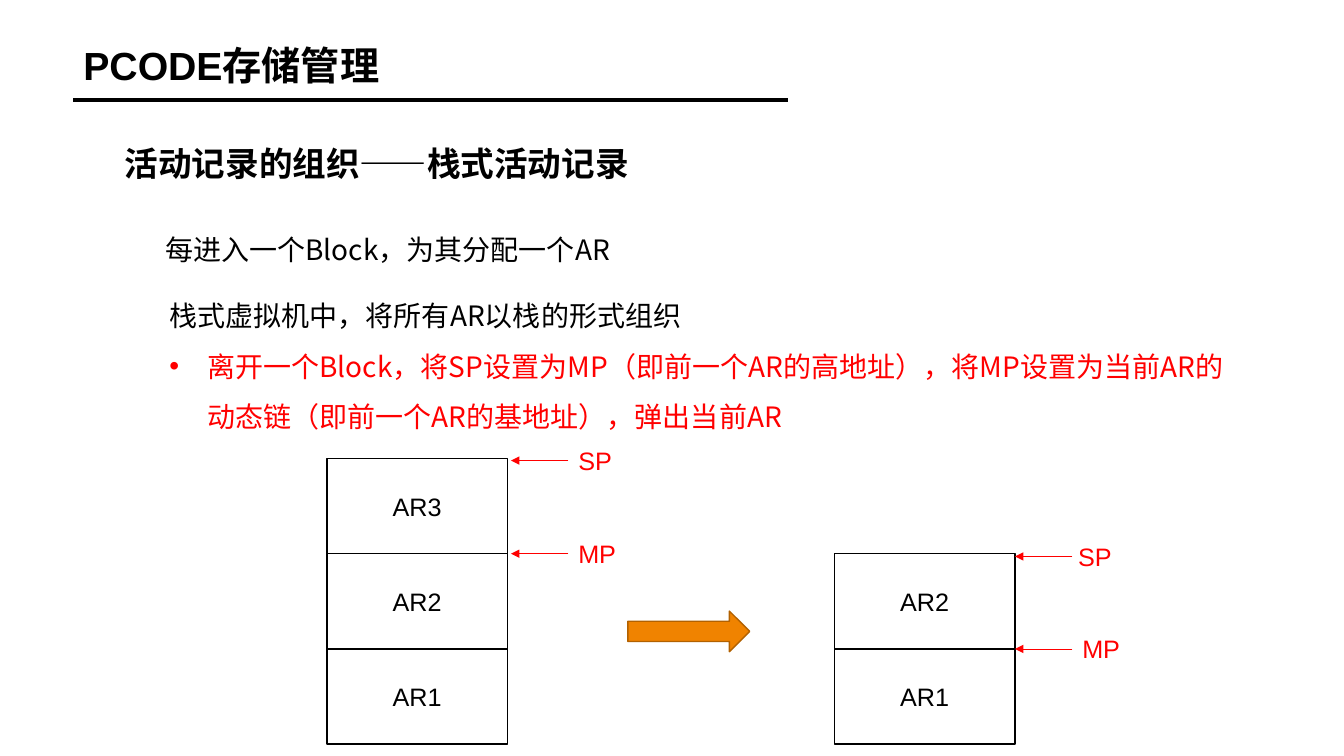
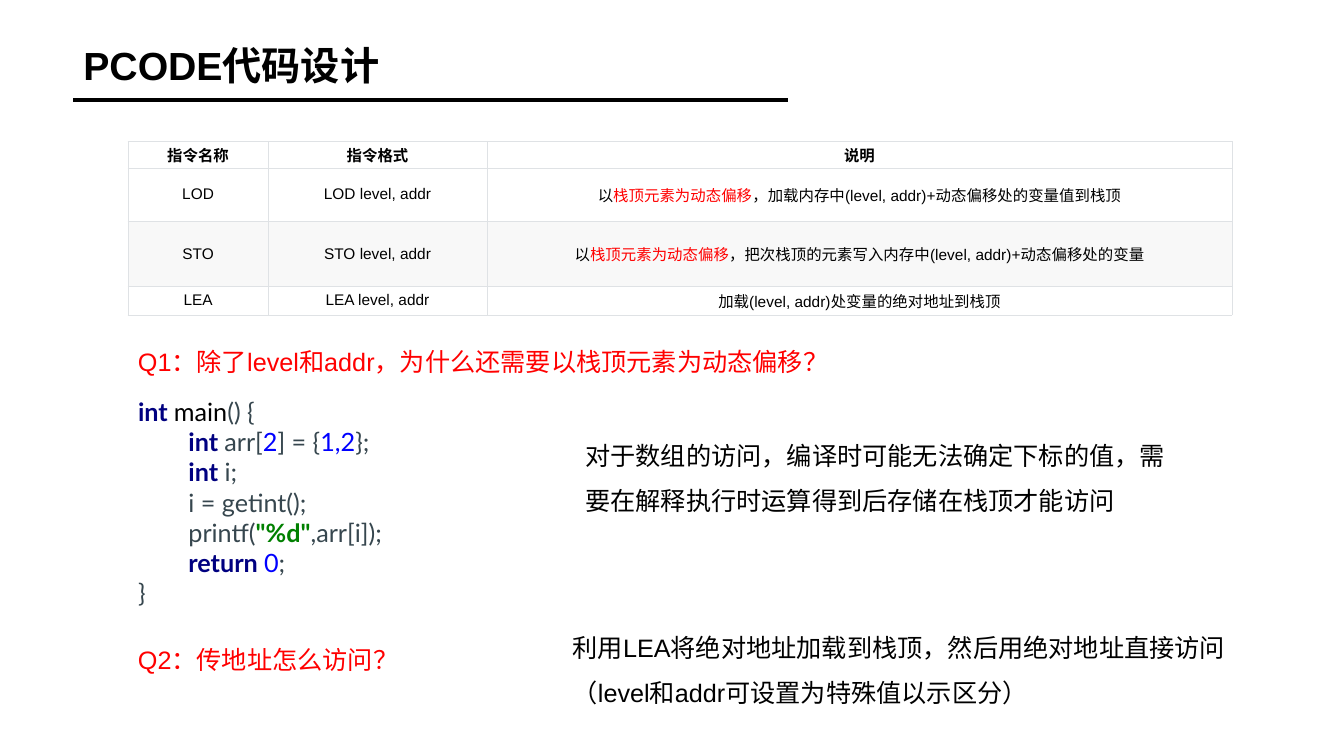
from lxml import etree
from pptx import Presentation
from pptx.dml.color import RGBColor
from pptx.enum import shapes, text
from pptx.oxml import ns
from pptx.util import Pt

BLACK = RGBColor(0x00, 0x00, 0x00)
WHITE = RGBColor(0xFF, 0xFF, 0xFF)
RED = RGBColor(0xFF, 0x00, 0x00)
ORANGE = RGBColor(0xF0, 0x83, 0x00)
BROWN = RGBColor(0xB2, 0x61, 0x00)
STRIPE = RGBColor(0xF8, 0xF8, 0xF8)
GRID = RGBColor(0xDF, 0xE2, 0xE5)
NAVY = RGBColor(0x00, 0x00, 0x80)
BLUE = RGBColor(0x00, 0x00, 0xFF)
GREEN = RGBColor(0x00, 0x80, 0x00)
SLATE = RGBColor(0x36, 0x46, 0x4E)

ARIAL = "Arial"
LATO = "Lato"
NOTO = "Noto Sans CJK SC"

FRAME_WIDTH = 129
FRAME_HEIGHT = 68
STACK_BOTTOM = 531.5

KEYWORD = (NAVY, True)
NUMBER = (BLUE, False)
PLAIN = (SLATE, False)
CODE = [
    [("int ", *KEYWORD), ("main", BLACK, False), ("() {", *PLAIN)],
    [("\tint ", *KEYWORD), ("arr[", *PLAIN), ("2", *NUMBER),
     ("] = {", *PLAIN), ("1,2", *NUMBER), ("};", *PLAIN)],
    [("\tint", *KEYWORD), (" i;", *PLAIN)],
    [("\ti = getint();", *PLAIN)],
    [("\tprintf(", *PLAIN), ("\"%d\"", GREEN, True), (",arr[i]);", *PLAIN)],
    [("\treturn ", *KEYWORD), ("0", *NUMBER), (";", *PLAIN)],
    [("}", *PLAIN)],
]

DYNAMIC_OFFSET = ("栈顶元素为动态偏移", RED, False)
INSTRUCTIONS = [
    ("LOD", [("以", BLACK, False), DYNAMIC_OFFSET,
             ("，加载内存中(level, addr)+动态偏移处的变量值到栈顶", BLACK, False)]),
    ("STO", [("以", BLACK, False), DYNAMIC_OFFSET,
             ("，把次栈顶的元素写入内存中(level, addr)+动态偏移处的变量", BLACK, False)]),
    ("LEA", [("加载(level, addr)处变量的绝对地址到栈顶", BLACK, False)]),
]


def add_runs(paragraph, runs, size, font):
    """Add (words, colour, bold) runs to a paragraph."""
    for words, colour, bold in runs:
        run = paragraph.add_run()
        run.text = words
        run.font.size = Pt(size)
        run.font.name = font
        run.font.bold = bold
        run.font.color.rgb = colour
        east_asian = etree.SubElement(run._r.get_or_add_rPr(), ns.qn("a:ea"))
        east_asian.set("typeface", NOTO)


def add_text(slide, box, paragraphs, size=18, font=ARIAL, spacing=None, wrap=True):
    frame = slide.shapes.add_textbox(*map(Pt, box)).text_frame
    frame.word_wrap = wrap
    for index, runs in enumerate(paragraphs):
        paragraph = frame.add_paragraph() if index else frame.paragraphs[0]
        if spacing:
            paragraph.line_spacing = spacing
        add_runs(paragraph, runs, size, font)
    return frame


def add_bullet(paragraph, indent):
    properties = paragraph._p.get_or_add_pPr()
    properties.set("marL", str(Pt(indent)))
    properties.set("indent", str(-Pt(indent)))
    etree.SubElement(properties, ns.qn("a:buFont")).set("typeface", ARIAL)
    etree.SubElement(properties, ns.qn("a:buChar")).set("char", "•")


def add_line(slide, start, end, colour, width, arrow=False):
    line = slide.shapes.add_connector(
        shapes.MSO_CONNECTOR.STRAIGHT, *map(Pt, (*start, *end)))
    line.line.color.rgb = colour
    line.line.width = Pt(width)
    if arrow:
        tail = etree.SubElement(line.line._get_or_add_ln(), ns.qn("a:tailEnd"))
        tail.set("type", "triangle")
    etree.SubElement(line._element.spPr, ns.qn("a:effectLst"))


def add_title(slide, title):
    add_text(slide, (52.5, 30, 855, 50), [[(title, BLACK, True)]], 28, spacing=0.9)
    add_line(slide, (52.5, 71.5), (563, 71.5), BLACK, 3)


def add_outlined(slide, kind, box, line_colour):
    shape = slide.shapes.add_shape(kind, *map(Pt, box))
    shape.shadow.inherit = False
    shape.fill.background()
    shape.line.color.rgb = line_colour
    shape.line.width = Pt(1)
    return shape


def add_stack(slide, left, names):
    """Pile up activation records, the first name at the bottom."""
    for level, name in enumerate(names, 1):
        top = STACK_BOTTOM - level * FRAME_HEIGHT
        record = add_outlined(slide, shapes.MSO_SHAPE.RECTANGLE,
                              (left, top, FRAME_WIDTH, FRAME_HEIGHT), BLACK)
        record.text_frame.vertical_anchor = text.MSO_ANCHOR.MIDDLE
        paragraph = record.text_frame.paragraphs[0]
        paragraph.alignment = text.PP_ALIGN.CENTER
        add_runs(paragraph, [(name, BLACK, False)], 18, ARIAL)


def add_pointer(slide, name, tip, y, label_left, label_width):
    add_line(slide, (tip + 41, y), (tip, y), RED, 0.5, arrow=True)
    add_text(slide, (label_left, y - 14.5, label_width, 29),
             [[(name, RED, False)]], wrap=False)


def add_borders(cell):
    properties = cell._tc.get_or_add_tcPr()
    for side in ("lnL", "lnR", "lnT", "lnB"):
        border = etree.SubElement(properties, ns.qn(f"a:{side}"), w=str(Pt(0.6)))
        fill = etree.SubElement(border, ns.qn("a:solidFill"))
        etree.SubElement(fill, ns.qn("a:srgbClr"), val=str(GRID))


def fill_cell(cell, runs, background):
    add_borders(cell)
    cell.fill.solid()
    cell.fill.fore_color.rgb = background
    cell.vertical_anchor = text.MSO_ANCHOR.MIDDLE
    cell.margin_left = cell.margin_right = Pt(3)
    cell.margin_top = cell.margin_bottom = Pt(1.5)
    paragraph = cell.text_frame.paragraphs[0]
    paragraph.alignment = text.PP_ALIGN.CENTER
    add_runs(paragraph, runs, 11, ARIAL)


def add_instruction_table(slide):
    widths, heights = (100, 156.5, 532), (19, 38, 46.5, 20.5)
    table = slide.shapes.add_table(
        len(heights), len(widths), Pt(91.5), Pt(101),
        Pt(sum(widths)), Pt(sum(heights))).table
    table.first_row = table.horz_banding = False
    for column, width in zip(table.columns, widths):
        column.width = Pt(width)
    for row, height in zip(table.rows, heights):
        row.height = Pt(height)

    rows = [[[(name, BLACK, True)] for name in ("指令名称", "指令格式", "说明")]]
    for name, meaning in INSTRUCTIONS:
        rows.append([[(name, BLACK, False)],
                     [(f"{name} level, addr", BLACK, False)], meaning])
    for index, row in enumerate(rows):
        background = STRIPE if index == 2 else WHITE
        for cell, runs in zip(table.rows[index].cells, row):
            fill_cell(cell, runs, background)


def build_storage_slide(slide):
    add_title(slide, "PCODE存储管理")
    add_text(slide, (82, 102, 410, 41),
             [[("活动记录的组织——栈式活动记录", BLACK, True)]], 24, spacing=0.9)
    add_text(slide, (111, 150.5, 609, 50),
             [[("每进入一个Block，为其分配一个AR", BLACK, False)]], 20, NOTO, 1.5)
    body = add_text(slide, (114, 198, 786, 152), [
        [("栈式虚拟机中，将所有AR以栈的形式组织", BLACK, False)],
        [("离开一个Block，将SP设置为MP（即前一个AR的高地址），"
          "将MP设置为当前AR的动态链（即前一个AR的基地址），弹出当前AR", RED, False)],
    ], 20, NOTO, 1.5)
    add_bullet(body.paragraphs[1], 27)

    add_stack(slide, 233.5, ["AR1", "AR2", "AR3"])
    add_pointer(slide, "SP", 365, 329, 406, 39)
    add_pointer(slide, "MP", 365, 395.5, 406, 42)
    add_stack(slide, 596, ["AR1", "AR2"])
    add_pointer(slide, "SP", 725, 397.5, 763, 39)
    add_pointer(slide, "MP", 725, 463.5, 766, 42)
    arrow = add_outlined(slide, shapes.MSO_SHAPE.RIGHT_ARROW,
                         (448.5, 436.5, 87, 29), BROWN)
    arrow.fill.solid()
    arrow.fill.fore_color.rgb = ORANGE


def build_code_slide(slide):
    add_title(slide, "PCODE代码设计")
    add_instruction_table(slide)
    add_text(slide, (91.5, 243.5, 512.5, 29), [
        [("Q1：除了level和addr，为什么还需要以栈顶元素为动态偏移？", RED, False)]],
        wrap=False)
    add_text(slide, (91.5, 279.5, 291.5, 160), CODE, font=LATO)
    add_text(slide, (411, 300, 430, 69), [
        [("对于数组的访问，编译时可能无法确定下标的值，"
          "需要在解释执行时运算得到后存储在栈顶才能访问", BLACK, False)]], spacing=1.5)
    add_text(slide, (91.5, 457, 202.5, 29),
             [[("Q2：传地址怎么访问？", RED, False)]], wrap=False)
    add_text(slide, (402, 437, 491, 69), [
        [("利用LEA将绝对地址加载到栈顶，然后用绝对地址直接访问"
          "（level和addr可设置为特殊值以示区分）", BLACK, False)]], spacing=1.5)


def main():
    presentation = Presentation()
    presentation.slide_width, presentation.slide_height = Pt(960), Pt(540)
    blank = presentation.slide_layouts[6]
    for build in (build_storage_slide, build_code_slide):
        build(presentation.slides.add_slide(blank))
    presentation.save("out.pptx")


if __name__ == "__main__":
    main()
